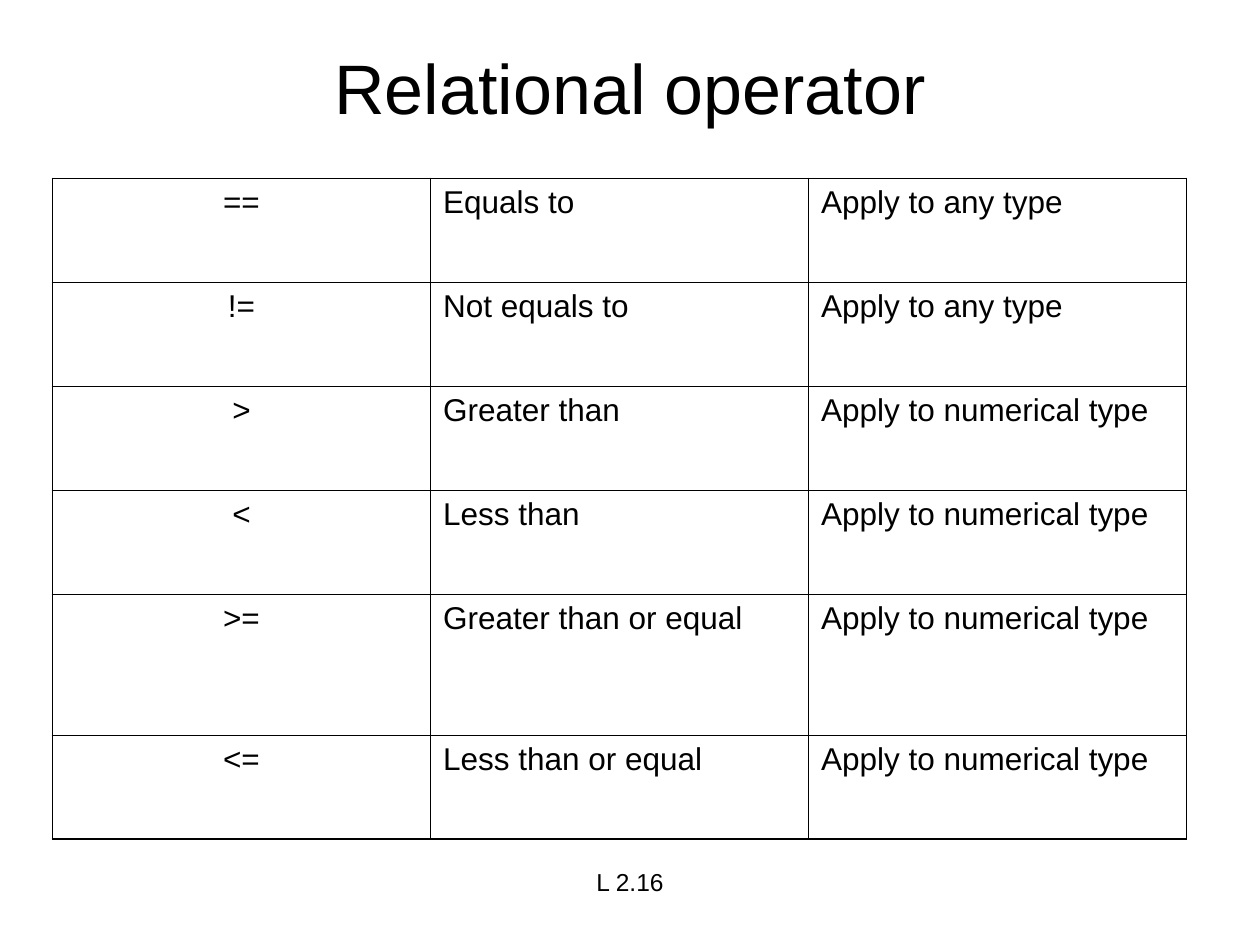
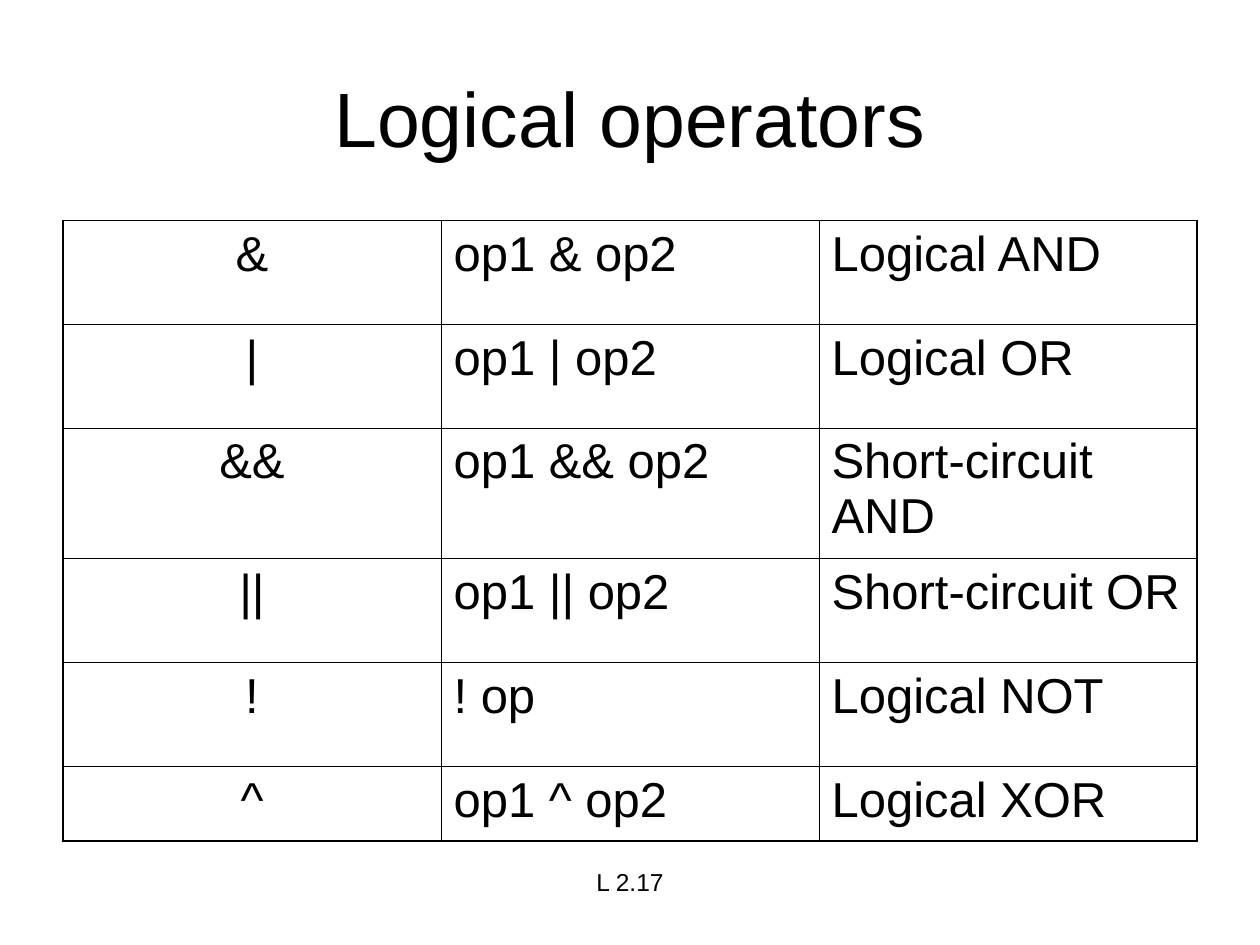
from dataclasses import dataclass

from lxml.etree import SubElement
from pptx import Presentation
from pptx.dml.color import RGBColor
from pptx.enum.text import MSO_ANCHOR as Anchor, PP_ALIGN as Align
from pptx.oxml.ns import qn
from pptx.util import Pt


@dataclass(frozen=True)
class Theme:
    font: str = "Arial"
    ink: str = "000000"
    paper: str = "FFFFFF"
    footer_size: float = 14
    outer_line: float = 1.08
    inner_line: float = 0.45


THEME = Theme()
COLUMN_WIDTH = 216
ROW_HEIGHT = 59.4

PAGES = [
    {
        "title": "Relational operator", "title_size": 40, "title_height": 56,
        "table_left": 30, "table_top": 102, "cell_size": 18,
        "special_heights": {4: 80.6},
        "rows": [
            ("==", "Equals to", "Apply to any type"),
            ("!=", "Not equals to", "Apply to any type"),
            (">", "Greater than", "Apply to numerical type"),
            ("<", "Less than", "Apply to numerical type"),
            (">=", "Greater than or equal", "Apply to numerical type"),
            ("<=", "Less than or equal", "Apply to numerical type"),
        ],
        "footer": "L 2.16",
    },
    {
        "title": "Logical operators", "title_size": 44, "title_height": 90,
        "table_left": 36, "table_top": 126, "cell_size": 28,
        "special_heights": {2: 74.3, 5: 42.4},
        "rows": [
            ("&", "op1 & op2", "Logical AND"),
            ("|", "op1 | op2", "Logical OR"),
            ("&&", "op1 && op2", "Short-circuit AND"),
            ("||", "op1 || op2", "Short-circuit OR"),
            ("!", "! op", "Logical NOT"),
            ("^", "op1 ^ op2", "Logical XOR"),
        ],
        "footer": "L 2.17",
    },
]


def write(frame, text, size, align):
    """Fill a text frame with one paragraph in the theme's font and ink."""
    frame.word_wrap = True
    para = frame.paragraphs[0]
    para.text = text
    para.alignment = align
    para.font.name = THEME.font
    para.font.size = Pt(size)
    para.font.color.rgb = RGBColor.from_string(THEME.ink)
    return para


def draw_borders(cell, outer_sides):
    """Rule all four sides of a cell, thicker where it meets the table's edge."""
    properties = cell._tc.get_or_add_tcPr()
    for side in "LRTB":
        width = THEME.outer_line if side in outer_sides else THEME.inner_line
        line = SubElement(properties, qn(f"a:ln{side}"), w=str(Pt(width)))
        fill = SubElement(line, qn("a:solidFill"))
        SubElement(fill, qn("a:srgbClr"), val=THEME.ink)


deck = Presentation()
deck.slide_width, deck.slide_height = Pt(720), Pt(540)
blank_layout = deck.slide_layouts[6]

for content in PAGES:
    page = deck.slides.add_slide(blank_layout)
    page.background.fill.solid()
    page.background.fill.fore_color.rgb = RGBColor.from_string(THEME.paper)

    title = page.shapes.add_textbox(Pt(36), Pt(21.6), Pt(648), Pt(content["title_height"]))
    title.text_frame.vertical_anchor = Anchor.MIDDLE
    write(title.text_frame, content["title"], content["title_size"], Align.CENTER)

    rows = content["rows"]
    heights = [content["special_heights"].get(index, ROW_HEIGHT) for index in range(len(rows))]
    column_count = len(rows[0])
    table = page.shapes.add_table(
        len(rows), column_count, Pt(content["table_left"]), Pt(content["table_top"]),
        Pt(COLUMN_WIDTH * column_count), Pt(sum(heights))).table
    table.first_row = table.horz_banding = False
    for column in table.columns:
        column.width = Pt(COLUMN_WIDTH)

    for row_index, (texts, height) in enumerate(zip(rows, heights)):
        table.rows[row_index].height = Pt(height)
        for column_index, text in enumerate(texts):
            cell = table.cell(row_index, column_index)
            edges = {"L": column_index == 0, "R": column_index == column_count - 1,
                     "T": row_index == 0, "B": row_index == len(rows) - 1}
            draw_borders(cell, [side for side, is_outer in edges.items() if is_outer])
            cell.fill.background()
            align = Align.CENTER if column_index == 0 else Align.LEFT
            para = write(cell.text_frame, text, content["cell_size"], align)
            para.space_before = Pt(content["cell_size"] / 4)

    footer = page.shapes.add_textbox(Pt(246), Pt(492), Pt(228), Pt(37.5))
    write(footer.text_frame, content["footer"], THEME.footer_size, Align.CENTER)

deck.save("out.pptx")
